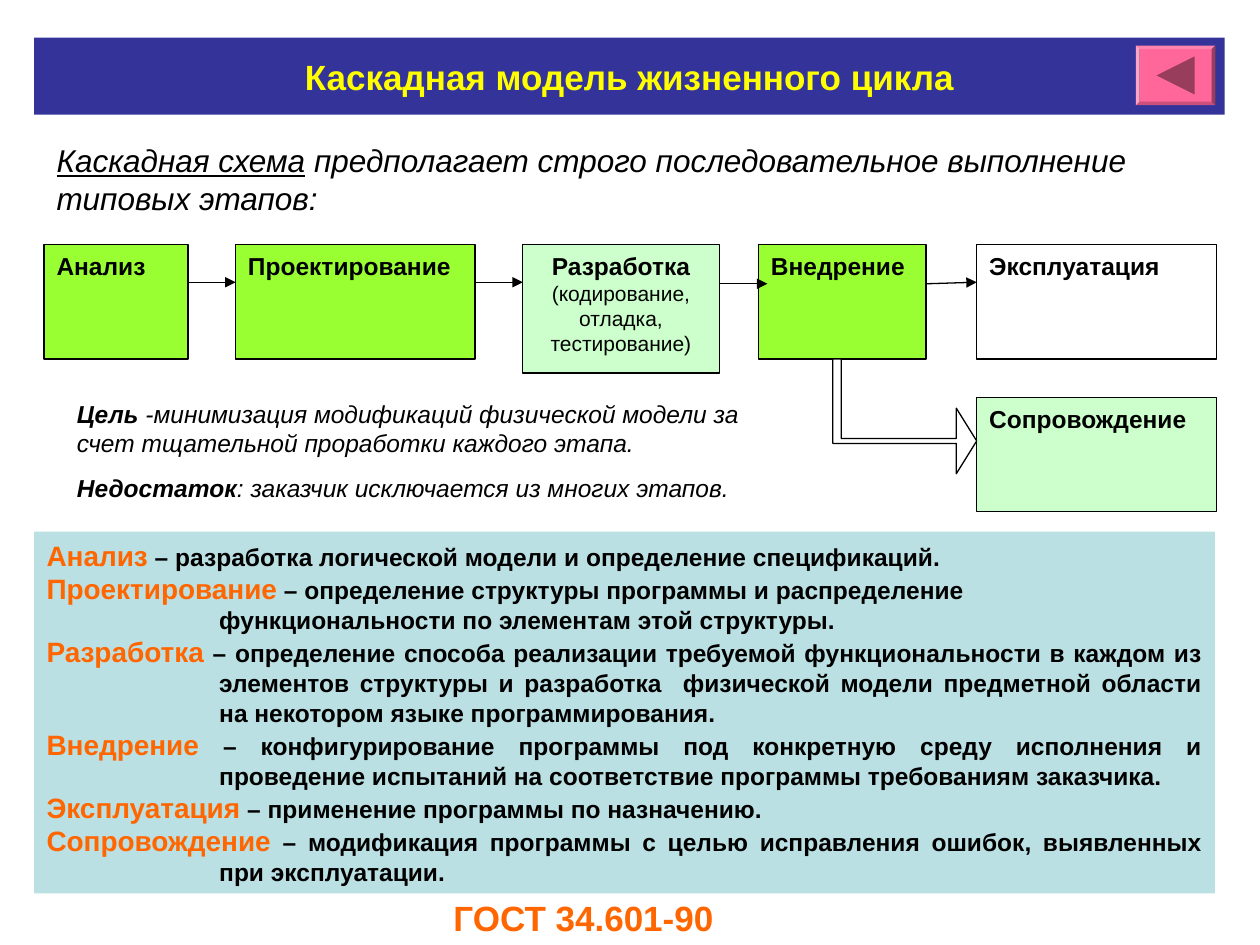
from collections import namedtuple
from dataclasses import dataclass

from lxml.etree import SubElement
from pptx import Presentation
from pptx.dml.color import RGBColor
from pptx.enum.shapes import MSO_CONNECTOR, MSO_SHAPE
from pptx.enum.text import MSO_ANCHOR, MSO_AUTO_SIZE, PP_ALIGN
from pptx.oxml.ns import qn
from pptx.util import Cm, Pt

Box = namedtuple("Box", "x y w h")


@dataclass(frozen=True)
class Theme:
    font: str = "Arial"
    ink: str = "000000"
    paper: str = "FFFFFF"
    banner: str = "333399"
    title: str = "FFFF00"
    accent: str = "FF6600"
    done: str = "99FF33"
    soft: str = "CCFFCC"
    panel: str = "BBE0E3"
    button: str = "FF6699"
    button_mark: str = "993D5C"
    heading: int = 20
    lead: int = 18
    term: int = 16
    body: int = 14
    small: int = 12
    line: float = 0.75


THEME = Theme()


def place(box):
    return [Cm(v) for v in box]


def paint(sp, fill=None, line=None):
    sp.shadow.inherit = False
    if fill:
        sp.fill.solid()
        sp.fill.fore_color.rgb = RGBColor.from_string(fill)
    else:
        sp.fill.background()
    if line:
        sp.line.color.rgb = RGBColor.from_string(line)
        sp.line.width = Pt(THEME.line)
    else:
        sp.line.fill.background()


def add_rect(s, box, fill=None, line=None, kind=MSO_SHAPE.RECTANGLE):
    sp = s.shapes.add_shape(kind, *place(box))
    paint(sp, fill, line)
    return sp


def write(tf, paragraphs, align=PP_ALIGN.LEFT, anchor=MSO_ANCHOR.TOP, wrap=True, before=0):
    tf.word_wrap = wrap
    tf.auto_size = MSO_AUTO_SIZE.NONE
    tf.vertical_anchor = anchor
    for i, runs in enumerate(paragraphs):
        p = tf.add_paragraph() if i else tf.paragraphs[0]
        p.alignment = align
        p.space_before = Pt(before)
        for text, size, color, marks in runs:
            r = p.add_run()
            r.text = text
            r.font.name = THEME.font
            r.font.size = Pt(size)
            r.font.color.rgb = RGBColor.from_string(color)
            r.font.bold = "b" in marks
            r.font.italic = "i" in marks
            r.font.underline = "u" in marks


def add_text(s, box, paragraphs, **options):
    tb = s.shapes.add_textbox(*place(box))
    write(tb.text_frame, paragraphs, **options)


def add_arrow(s, x1, y1, x2, y2):
    cn = s.shapes.add_connector(MSO_CONNECTOR.STRAIGHT, Cm(x1), Cm(y1), Cm(x2), Cm(y2))
    cn.line.color.rgb = RGBColor.from_string(THEME.ink)
    cn.line.width = Pt(THEME.line)
    SubElement(cn.line._get_or_add_ln(), qn("a:tailEnd"), type="triangle")
    SubElement(cn._element.spPr, qn("a:effectLst"))


def add_banner(s, box):
    title = s.shapes.title
    title.left, title.top, title.width, title.height = place(box)
    title.fill.solid()
    title.fill.fore_color.rgb = RGBColor.from_string(THEME.banner)
    write(title.text_frame,
          [[("Каскадная модель жизненного цикла", THEME.heading, THEME.title, "b")]],
          align=PP_ALIGN.CENTER, anchor=MSO_ANCHOR.MIDDLE)


def add_back_button(s, box):
    bevel = add_rect(s, box, THEME.button, kind=MSO_SHAPE.BEVEL)
    bevel.adjustments[0] = 0.06
    side = 0.77
    mark = Box(box.x + (box.w - side) / 2, box.y + (box.h - side) / 2, side, side)
    sp = add_rect(s, mark, THEME.button_mark, kind=MSO_SHAPE.ISOSCELES_TRIANGLE)
    sp.rotation = 270


def add_stage(s, box, name, fill, detail=None):
    sp = add_rect(s, box, fill, THEME.ink)
    paragraphs = [[(name, THEME.body, THEME.ink, "b")]]
    if detail:
        paragraphs.append([(detail, THEME.small, THEME.ink, "")])
    write(sp.text_frame, paragraphs, PP_ALIGN.CENTER if detail else PP_ALIGN.LEFT)


def add_bent_arrow(s, box):
    mid, head, half = box.y + box.h - 0.66, box.x + box.w - 0.41, 0.05
    right = box.x + 0.17
    points = [(box.x, box.y), (right, box.y), (right, mid - half), (head, mid - half),
              (head, mid - 0.66), (box.x + box.w, mid), (head, mid + 0.66),
              (head, mid + half), (box.x, mid + half)]
    points = [(Cm(x), Cm(y)) for x, y in points]
    fb = s.shapes.build_freeform(*points[0])
    fb.add_line_segments(points[1:], close=True)
    paint(fb.convert_to_shape(), THEME.paper, THEME.ink)


def add_cascade(s, box):
    stages = [
        (0, 0, 2.9, 2.31, "Анализ", THEME.done, None),
        (3.86, 0, 4.83, 2.31, "Проектирование", THEME.done, None),
        (9.65, 0, 3.96, 2.59, "Разработка", THEME.soft,
         "(кодирование, отладка, тестирование)"),
        (14.4, 0, 3.38, 2.31, "Внедрение", THEME.done, None),
        (18.8, 0, 4.83, 2.31, "Эксплуатация", None, None),
        (18.8, 3.08, 4.83, 2.31, "Сопровождение", THEME.soft, None),
    ]
    for x, y, w, h, *content in stages:
        add_stage(s, Box(box.x + x, box.y + y, w, h), *content)
    arrows = [(2.9, 0.76, 3.86, 0.76), (8.69, 0.76, 9.65, 0.76),
              (13.61, 0.79, 14.58, 0.79), (17.8, 0.79, 18.8, 0.76)]
    for x1, y1, x2, y2 in arrows:
        add_arrow(s, box.x + x1, box.y + y1, box.x + x2, box.y + y2)
    add_bent_arrow(s, Box(box.x + 15.9, box.y + 2.31, 2.9, 2.31))


def add_definitions(s, box):
    terms = [
        ("Анализ", "разработка логической модели и определение спецификаций."),
        ("Проектирование", "определение структуры программы и распределение "
         "функциональности по элементам этой структуры."),
        ("Разработка", "определение способа реализации требуемой функциональности в каждом "
         "из элементов структуры и разработка  физической модели предметной области "
         "на некотором языке программирования."),
        ("Внедрение", "конфигурирование программы под конкретную среду исполнения и "
         "проведение испытаний на соответствие программы требованиям заказчика."),
        ("Эксплуатация", "применение программы по назначению."),
        ("Сопровождение", "модификация программы с целью исправления ошибок, "
         "выявленных при эксплуатации."),
    ]
    sp = add_rect(s, box, THEME.panel)
    write(sp.text_frame,
          [[(term, THEME.term, THEME.accent, "b"),
            (f" – {meaning}", THEME.body, THEME.ink, "b")] for term, meaning in terms],
          align=PP_ALIGN.JUSTIFY, anchor=MSO_ANCHOR.MIDDLE)
    for p in sp.text_frame.paragraphs:
        pPr = p._p.get_or_add_pPr()
        pPr.set("marL", str(Cm(3.48)))
        pPr.set("indent", str(-Cm(3.48)))
    sp.text_frame.paragraphs[1].alignment = PP_ALIGN.LEFT


def main():
    prs = Presentation()
    prs.slide_width, prs.slide_height = Cm(25.4), Cm(19.05)
    s = prs.slides.add_slide(prs.slide_layouts[5])
    add_banner(s, Box(0.69, 0.76, 24, 1.55))
    add_back_button(s, Box(22.9, 0.92, 1.6, 1.2))
    add_text(s, Box(0.89, 2.72, 23.6, 1.78), [[
        ("Каскадная схема", THEME.lead, THEME.ink, "iu"),
        (" предполагает строго последовательное выполнение типовых этапов:",
         THEME.lead, THEME.ink, "i")]], before=11.2)
    add_cascade(s, Box(0.89, 4.93, 23.63, 5.39))
    add_text(s, Box(1.3, 7.92, 14.2, 2.34), [
        [("Цель", THEME.body, THEME.ink, "bi"),
         (" -минимизация модификаций физической модели за счет тщательной "
          "проработки каждого этапа.", THEME.body, THEME.ink, "i")],
        [("Недостаток", THEME.body, THEME.ink, "bi"),
         (": заказчик исключается из многих этапов.", THEME.body, THEME.ink, "i")],
    ], before=8.8)
    add_definitions(s, Box(0.69, 10.72, 23.8, 7.29))
    add_text(s, Box(8.89, 17.93, 5.77, 1.12),
             [[("ГОСТ 34.601-90", THEME.heading, THEME.accent, "b")]],
             align=PP_ALIGN.JUSTIFY, anchor=MSO_ANCHOR.MIDDLE, wrap=False)
    prs.save("out.pptx")


if __name__ == "__main__":
    main()
